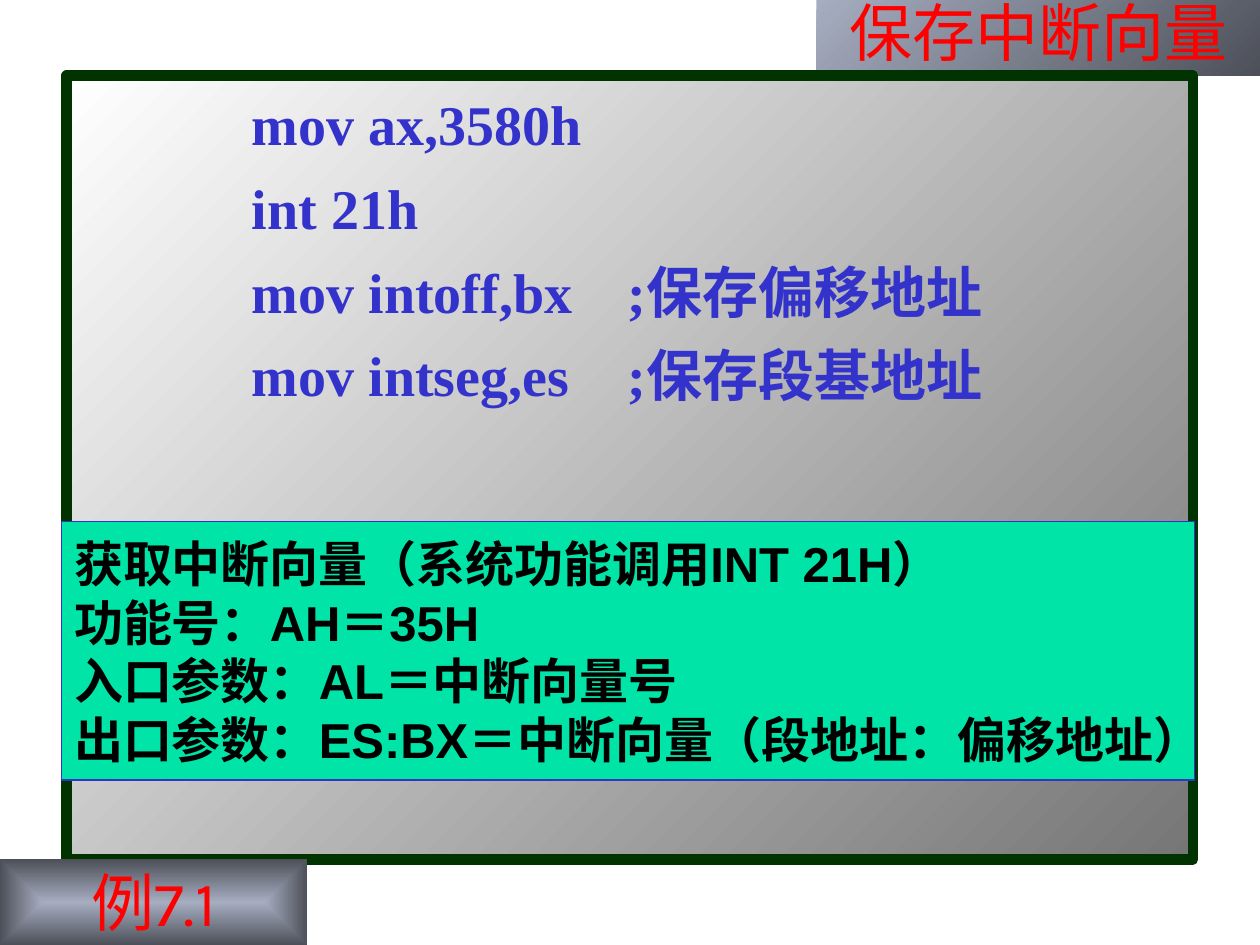
import pptx
import pptx.util
import pptx.dml.color
import pptx.enum.shapes
import pptx.enum.text
import pptx.oxml
import pptx.oxml.ns
from dataclasses import dataclass

Inches = pptx.util.Inches
Pt = pptx.util.Pt
ALIGN = pptx.enum.text.PP_ALIGN
ANCHOR = pptx.enum.text.MSO_ANCHOR


@dataclass(frozen=True)
class Theme:
    red: str = "FF0000"
    blue: str = "3333CC"
    black: str = "000000"
    green: str = "003300"
    mint: str = "00E4A8"
    steel: tuple = ("A6ADC0", "4D5059")
    grey: tuple = ("FFFFFF", "767676")
    head: int = 36
    code: int = 32
    note: int = 28


THEME = Theme()

CODE = [
    "mov ax,3580h",
    "int 21h",
    "mov intoff,bx\t;保存偏移地址",
    "mov intseg,es\t;保存段基地址",
]
NOTES = [
    "获取中断向量（系统功能调用INT 21H）",
    "功能号：AH＝35H",
    "入口参数：AL＝中断向量号",
    "出口参数：ES:BX＝中断向量（段地址：偏移地址）",
]


def rgb(code):
    return pptx.dml.color.RGBColor.from_string(code)


def add_box(slide, left, top, width, height, line=None, weight=0):
    """Add a flat rectangle, with an outline if a colour is given."""
    box = slide.shapes.add_shape(
        pptx.enum.shapes.MSO_SHAPE.RECTANGLE,
        Inches(left), Inches(top), Inches(width), Inches(height))
    box.shadow.inherit = False
    if line:
        box.line.color.rgb = rgb(line)
        box.line.width = Pt(weight)
    else:
        box.line.fill.background()
    return box


def shade(box, pair, inward=False):
    """Fill with a diagonal gradient, or one running in to the centre."""
    box.fill.gradient()
    box.fill.gradient_angle = 315
    for stop, code in zip(box.fill.gradient_stops, pair):
        stop.color.rgb = rgb(code)
    if inward:
        lin = box.element.spPr.find(".//" + pptx.oxml.ns.qn("a:lin"))
        lin.getparent().replace(lin, pptx.oxml.parse_xml(
            f'<a:path {pptx.oxml.ns.nsdecls("a")} path="rect">'
            '<a:fillToRect l="50000" t="50000" r="50000" b="50000"/></a:path>'))


def add_tab(para, pos):
    para._p.get_or_add_pPr().append(pptx.oxml.parse_xml(
        f'<a:tabLst {pptx.oxml.ns.nsdecls("a")}>'
        f'<a:tab pos="{Inches(pos)}" algn="l"/></a:tabLst>'))


def write(box, lines, font, size, color, align, anchor,
          bold=False, gap=0, tab=None, wrap=True):
    """Write one paragraph per line in a single style."""
    frame = box.text_frame
    frame.word_wrap = wrap
    frame.vertical_anchor = anchor
    for i, line in enumerate(lines):
        para = frame.add_paragraph() if i else frame.paragraphs[0]
        para.text = line
        para.alignment = align
        if i and gap:
            para.space_before = Pt(gap)
        if tab:
            add_tab(para, tab)
        para.font.name = font
        para.font.size = Pt(size)
        para.font.bold = bold
        para.font.color.rgb = rgb(color)


def add_label(slide, text, spot, inward=False):
    """Add a steel plate with a centred red heading."""
    box = add_box(slide, *spot)
    shade(box, THEME.steel, inward)
    write(box, [text], "Karla", THEME.head, THEME.red,
          ALIGN.CENTER, ANCHOR.BOTTOM)


def add_code(slide):
    box = add_box(slide, 0.53, 0.6, 8.94, 6.22, THEME.green, 6)
    shade(box, THEME.grey)
    box.text_frame.margin_left = Inches(1.47)
    box.text_frame.margin_top = Inches(0.11)
    write(box, CODE, "Times New Roman", THEME.code, THEME.blue,
          ALIGN.JUSTIFY, ANCHOR.TOP, bold=True, gap=9.5, tab=2.98)


def add_note(slide):
    box = add_box(slide, 0.49, 4.14, 8.99, 2.05, THEME.blue, 0.75)
    box.fill.solid()
    box.fill.fore_color.rgb = rgb(THEME.mint)
    write(box, NOTES, "Arial", THEME.note, THEME.black,
          ALIGN.JUSTIFY, ANCHOR.MIDDLE, bold=True, wrap=False)


def main():
    deck = pptx.Presentation()
    deck.slide_width, deck.slide_height = Inches(10), Inches(7.5)
    slide = deck.slides.add_slide(deck.slide_layouts[6])

    # Heading
    add_label(slide, "保存中断向量", (6.48, 0, 3.52, 0.6))
    # Code panel
    add_code(slide)
    # Example number
    add_label(slide, "例7.1", (0, 6.82, 2.44, 0.68), inward=True)
    # Call reference
    add_note(slide)

    deck.save("out.pptx")


if __name__ == "__main__":
    main()
